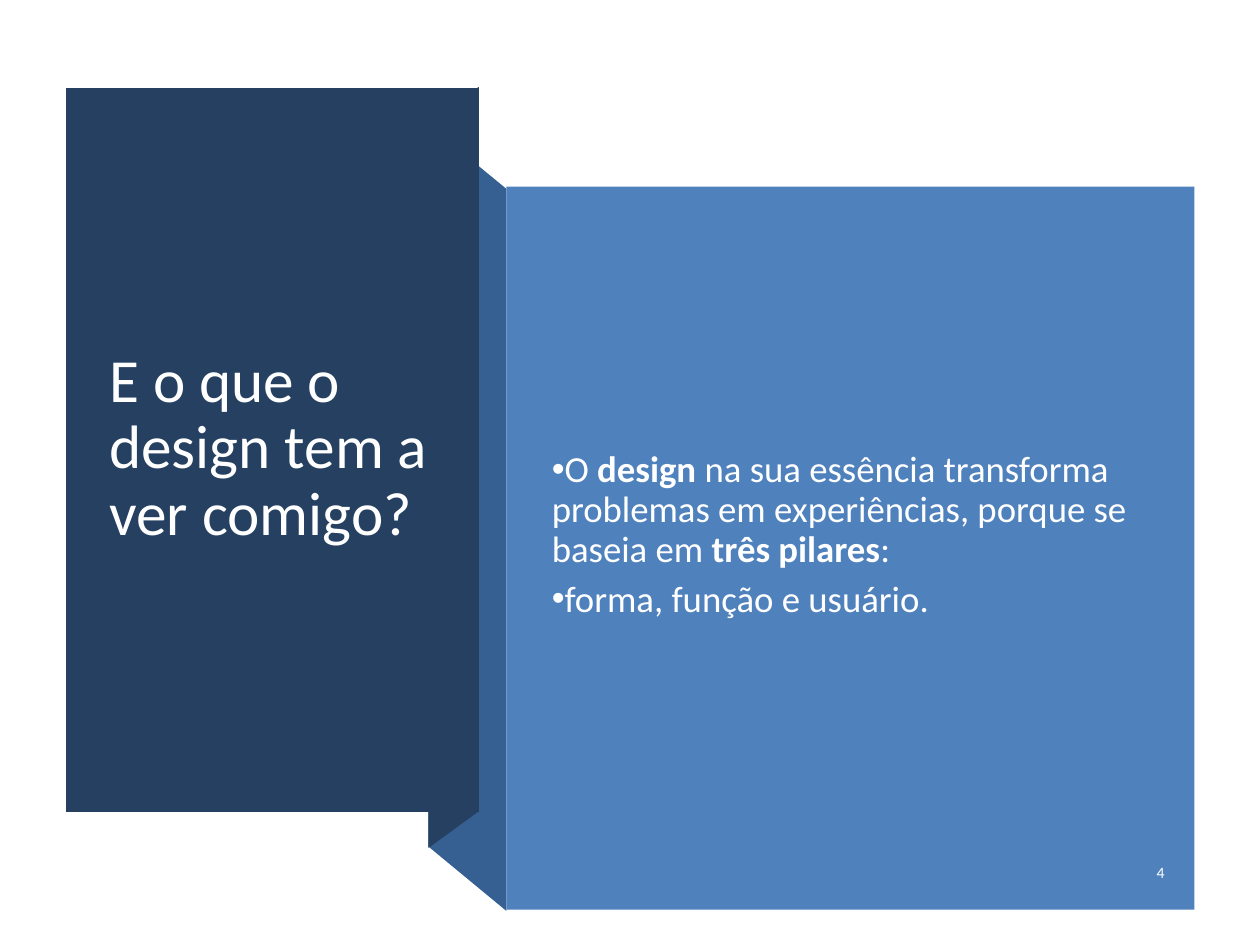
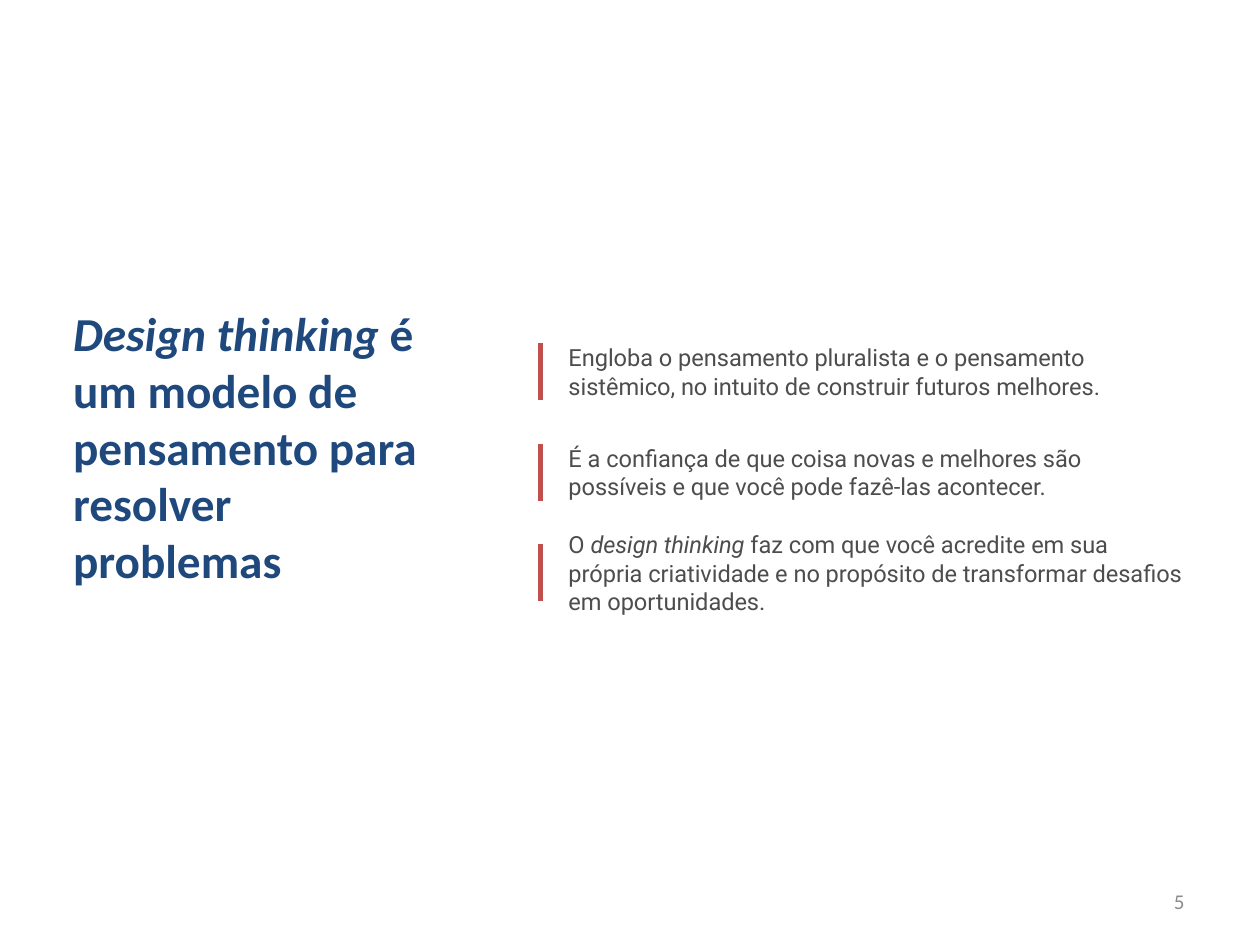
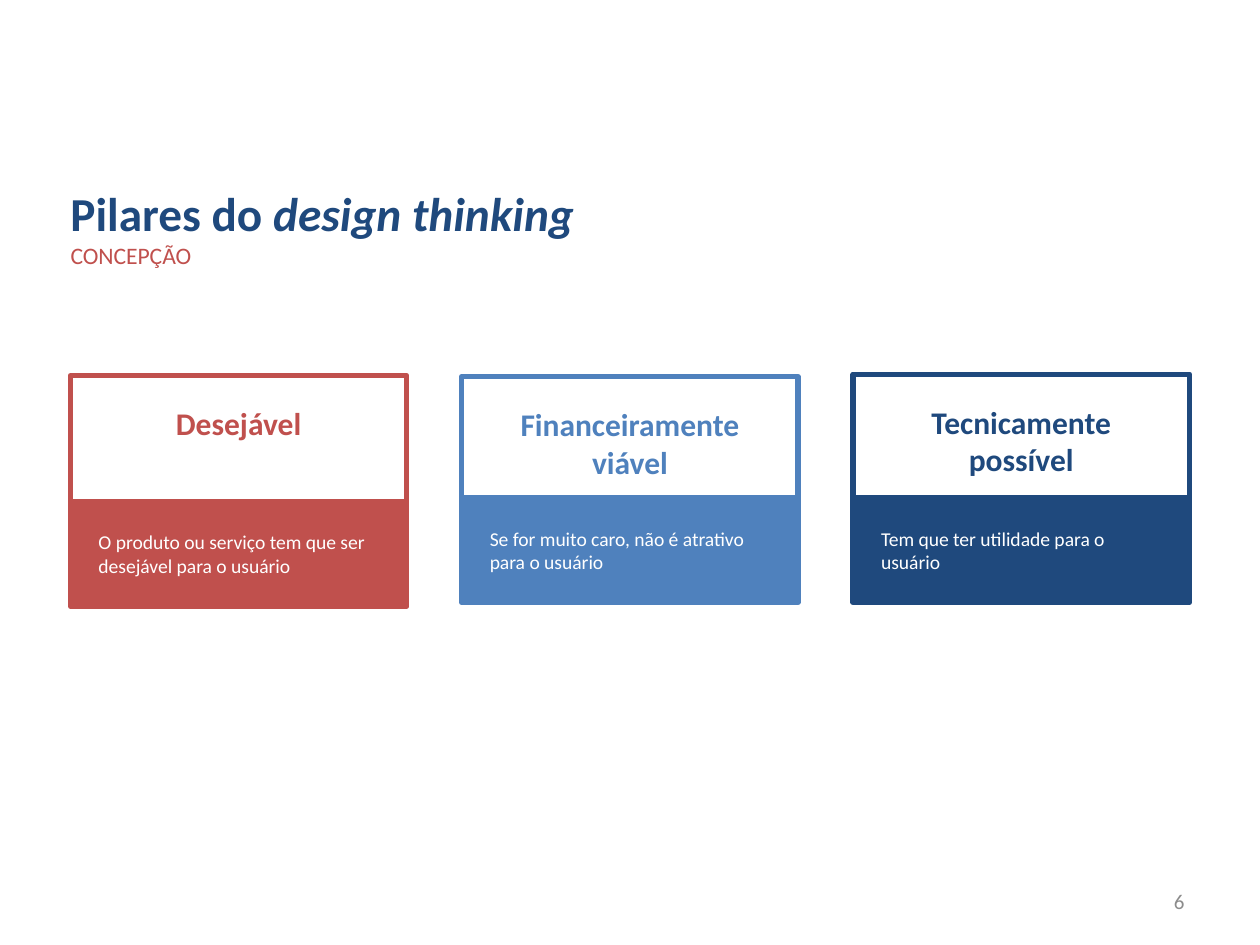
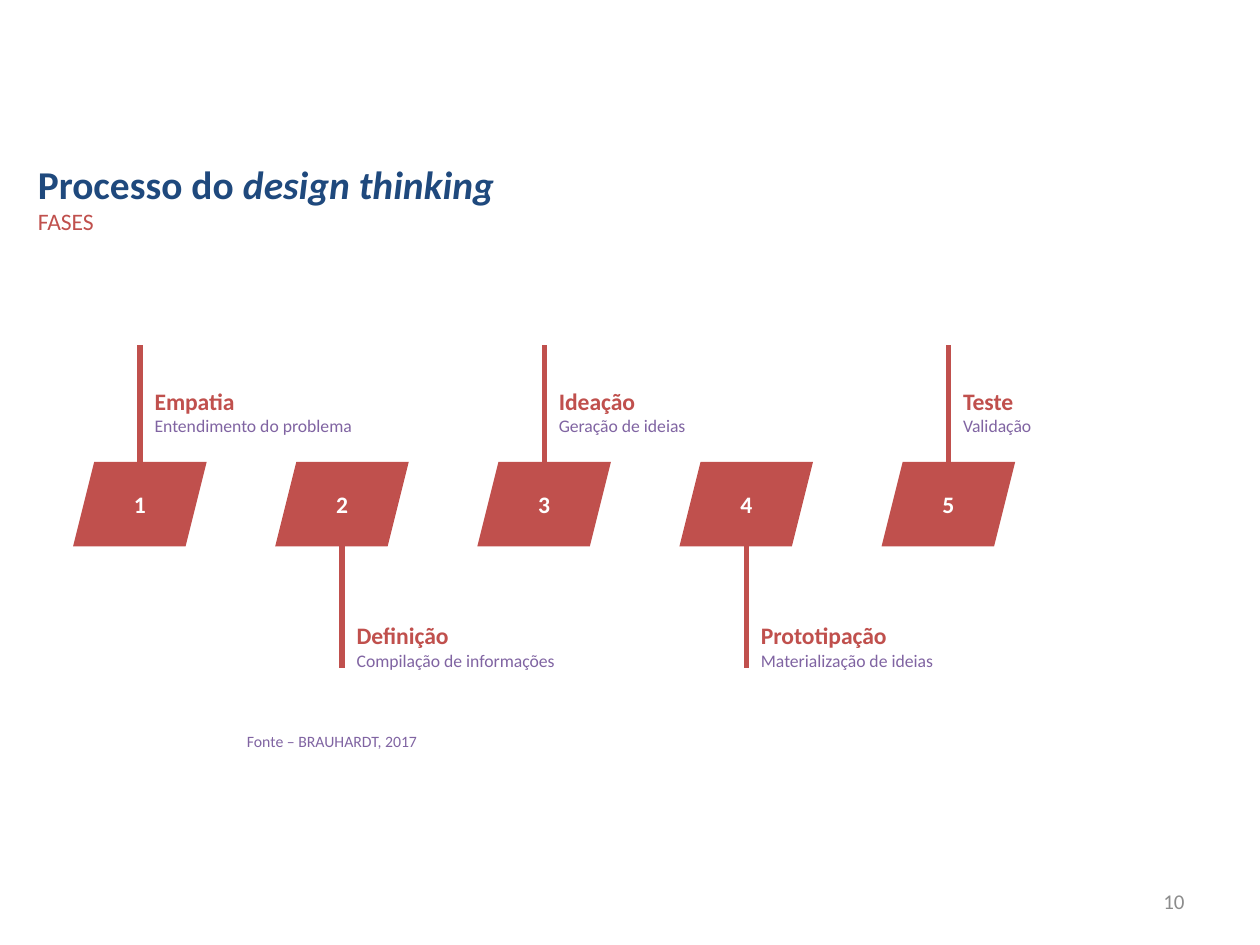
from lxml import etree
from pptx import Presentation
from pptx.dml.color import RGBColor
from pptx.enum import shapes, text
from pptx.oxml.ns import qn
from pptx.util import Pt

WHITE = RGBColor(0xFF, 0xFF, 0xFF)
NAVY = RGBColor(0x1F, 0x49, 0x7D)
BLUE = RGBColor(0x4F, 0x81, 0xBD)
SPINE_BLUE = RGBColor(0x37, 0x60, 0x92)
PANEL_NAVY = RGBColor(0x25, 0x40, 0x61)
RED = RGBColor(0xC0, 0x50, 0x4D)
PURPLE = RGBColor(0x80, 0x64, 0xA2)
GRAY = RGBColor(0x8C, 0x8C, 0x8C)
DARK_GRAY = RGBColor(0x4D, 0x4D, 0x4D)

LEFT, CENTER, RIGHT = text.PP_ALIGN.LEFT, text.PP_ALIGN.CENTER, text.PP_ALIGN.RIGHT
TOP, MIDDLE, BOTTOM = (text.MSO_ANCHOR.TOP, text.MSO_ANCHOR.MIDDLE,
                       text.MSO_ANCHOR.BOTTOM)
DEFAULT_INSETS = (7.2, 3.6, 7.2, 3.6)
LINE_WIDTH = 3

# A paragraph is a list of (words, style); style holds "b" for bold, "i" for italic.
QUESTION = [("E o que o design tem a ver comigo?", "")]
ANSWER = [
    [("O ", ""), ("design", "b"),
     (" na sua essência transforma problemas em experiências, porque se baseia em ", ""),
     ("três pilares", "b"), (":", "")],
    [("forma, função e usuário.", "")],
]
FOLDED_PANEL = [
    (SPINE_BLUE, [(289.4, 520.6), (244.8, 483.8), (244.8, 71.3), (289.4, 108)]),
    (PANEL_NAVY, [(273.6, 463.7), (244.8, 484.6), (244.8, 70.6), (273.6, 49.7)]),
    (PANEL_NAVY, [(37.6, 50.2), (273.6, 50.2), (273.6, 464.2), (37.6, 464.2)]),
]

MODEL_TITLE = [("Design thinking ", "bi"),
               ("é um modelo de pensamento para resolver problemas", "b")]
IDEAS = [
    [("Engloba o pensamento pluralista e o pensamento sistêmico, "
      "no intuito de construir futuros melhores.", "")],
    [("É a confiança de que coisa novas e melhores são possíveis "
      "e que você pode fazê-las acontecer.", "")],
    [("O ", ""), ("design thinking", "i"),
     (" faz com que você acredite em sua própria criatividade e no propósito "
      "de transformar desafios em oportunidades.", "")],
]

PILLARS = [  # heading, explanation, colour, top of heading, top of body, bottom inset
    ("Desejável", "O produto ou serviço tem que ser desejável para o usuário",
     RED, 214.6, 286.6, 38),
    ("Financeiramente viável", "Se for muito caro, não é atrativo para o usuário",
     BLUE, 215.3, 284.4, 16),
    ("Tecnicamente possível", "Tem que ter utilidade para o usuário",
     NAVY, 213.8, 284.4, 16),
]

PHASES = [
    ("Empatia", "Entendimento do problema"),
    ("Definição", "Compilação de informações"),
    ("Ideação", "Geração de ideias"),
    ("Prototipação", "Materialização de ideias"),
    ("Teste", "Validação"),
]


def points(values):
    return [Pt(value) for value in values]


def add_runs(para, runs, size, color, font="Calibri", align=LEFT):
    para.alignment = align
    for words, style in runs:
        span = para.add_run()
        span.text = words
        span.font.name = font
        span.font.size = Pt(size)
        span.font.color.rgb = color
        span.font.bold = "b" in style
        span.font.italic = "i" in style


def set_frame(shape, anchor, insets=DEFAULT_INSETS, wrap=True):
    frame = shape.text_frame
    frame.word_wrap = wrap
    frame.vertical_anchor = anchor
    (frame.margin_left, frame.margin_top,
     frame.margin_right, frame.margin_bottom) = points(insets)
    return frame


def add_text(page, area, runs, size, color, anchor=MIDDLE, insets=DEFAULT_INSETS,
             wrap=True, font="Calibri", align=LEFT):
    """Add a text box with one paragraph and return its frame."""
    box = page.shapes.add_textbox(*points(area))
    frame = set_frame(box, anchor, insets, wrap)
    add_runs(frame.paragraphs[0], runs, size, color, font, align)
    return frame


def paint(shape, fill=None, line=None):
    shape.shadow.inherit = False
    if fill is None:
        shape.fill.background()
    else:
        shape.fill.solid()
        shape.fill.fore_color.rgb = fill
    if line is None:
        shape.line.fill.background()
    else:
        shape.line.color.rgb = line
        shape.line.width = Pt(LINE_WIDTH)


def add_block(page, kind, area, fill=None, line=None):
    block = page.shapes.add_shape(kind, *points(area))
    paint(block, fill, line)
    return block


def add_rule(page, x, start, end):
    """Add a vertical red line."""
    rule = page.shapes.add_connector(shapes.MSO_CONNECTOR.STRAIGHT,
                                     *points((x, start, x, end)))
    rule.line.color.rgb = RED
    rule.line.width = Pt(LINE_WIDTH)
    etree.SubElement(rule._element.spPr, qn("a:effectLst"))


def add_page_number(page, number, area=(516.2, 500.4, 167.8, 28.8), size=12, color=GRAY):
    return add_text(page, area, [(str(number), "")], size, color, align=RIGHT)


def add_heading(page, left, baseline, width, runs, size, subtitle, subtitle_width):
    """Put the title above the baseline and the red subtitle below it."""
    height = size * 1.2
    add_text(page, (left, baseline - height, width, height), runs, size, NAVY,
             BOTTOM, (0, 0, 0, 0), wrap=False)
    add_text(page, (left, baseline, subtitle_width, 16.5), [(subtitle, "")], 13.5, RED,
             TOP, (0, 0, 0, 0), wrap=False)


def loosen(para):
    para.line_spacing = 0.9
    para.space_after = Pt(6)


def add_bullet(para):
    properties = para._p.get_or_add_pPr()
    properties.set("marL", "0")
    properties.set("indent", str(-Pt(18)))
    etree.SubElement(properties, qn("a:buFont")).set("typeface", "Arial")
    etree.SubElement(properties, qn("a:buChar")).set("char", "•")


def build_question(page):
    for color, corners in FOLDED_PANEL:
        corners = [points(corner) for corner in corners]
        builder = page.shapes.build_freeform(*corners[0], scale=1.0)
        builder.add_line_segments(corners[1:], close=True)
        paint(builder.convert_to_shape(), color)
    title = add_text(page, (55.4, 77, 200.2, 359.3), QUESTION, 35, WHITE)
    loosen(title.paragraphs[0])

    add_block(page, shapes.MSO_SHAPE.RECTANGLE, (289.4, 106.6, 393.1, 413.3), BLUE)
    body = add_text(page, (308.2, 135.4, 351.4, 341.3), ANSWER[0], 21, WHITE)
    for runs in ANSWER[1:]:
        add_runs(body.add_paragraph(), runs, 21, WHITE)
    for para in body.paragraphs:
        loosen(para)
        add_bullet(para)
    number = add_page_number(page, 4, (632.2, 486, 40.3, 25.2), 9, WHITE)
    number.paragraphs[0].space_after = Pt(6)


def build_model(page):
    left, first_middle, pitch, rule_height = 308.9, 212.4, 57.4, 32.6
    add_page_number(page, 5)
    add_text(page, (41.8, 156.2, 205.9, 195.8), MODEL_TITLE, 27, NAVY,
             BOTTOM, (0, 16, 0, 16))
    for index, runs in enumerate(IDEAS):
        middle = first_middle + index * pitch
        height = 49 if index == len(IDEAS) - 1 else rule_height
        add_text(page, (left, middle - height / 2, 384.5, height), runs, 13.5,
                 DARK_GRAY, insets=(16, 0, 16, 0), font="Roboto")
        add_rule(page, left, middle - rule_height / 2, middle + rule_height / 2)


def build_pillars(page):
    left, width, pitch = 40.3, 192.2, 223.6
    add_page_number(page, 6)
    add_heading(page, left, 137.5, 290.9,
                [("Pilares do ", "b"), ("design thinking", "bi")], 27, "CONCEPÇÃO", 70.6)
    for index, (name, reason, color, head_top, body_top, bottom) in enumerate(PILLARS):
        x = left + index * pitch
        head = add_block(page, shapes.MSO_SHAPE.RECTANGLE,
                         (x, head_top, width, 75.6), line=color)
        frame = set_frame(head, MIDDLE, (16, 16, 16, bottom))
        add_runs(frame.paragraphs[0], [(name, "b")], 18, color, align=CENTER)
        body = add_block(page, shapes.MSO_SHAPE.RECTANGLE,
                         (x, body_top, width, 59.8), color, color)
        frame = set_frame(body, MIDDLE, (16, 16, 16, 16))
        add_runs(frame.paragraphs[0], [(reason, "")], 11.2, WHITE)


def build_process(page):
    left, top, width, height, pitch = 41.8, 264, 76.3, 48.2, 115.5
    add_page_number(page, 10)
    add_heading(page, 21.6, 118.4, 262.8,
                [("Processo do ", "b"), ("design thinking", "bi")], 22.5, "FASES", 32.4)
    for index, (name, detail) in enumerate(PHASES):
        x = left + index * pitch
        middle = x + width / 2
        above = index % 2 == 0
        step = add_block(page, shapes.MSO_SHAPE.PARALLELOGRAM, (x, top, width, height), RED)
        add_runs(set_frame(step, MIDDLE).paragraphs[0], [(str(index + 1), "b")],
                 13.5, WHITE, align=CENTER)
        if above:
            add_rule(page, middle, top, 197.3)
        else:
            add_rule(page, middle, top + height, 381.6)
        label = add_text(page, (middle + 0.4, 203 if above else 337, 154.1, 60.5),
                         [(name, "b")], 13.5, RED, BOTTOM, (8, 16, 8, 16))
        add_runs(label.add_paragraph(), [(detail, "")], 10.1, PURPLE)
    add_text(page, (41, 412.6, 297.4, 27.4), [("Fonte – BRAUHARDT, 2017", "")], 9, PURPLE,
             TOP, (16, 8, 16, 8), align=CENTER)


def main():
    deck = Presentation()
    deck.slide_width, deck.slide_height = Pt(720), Pt(540)
    blank = deck.slide_layouts[6]
    for build in (build_question, build_model, build_pillars, build_process):
        build(deck.slides.add_slide(blank))
    deck.save("out.pptx")


if __name__ == "__main__":
    main()
